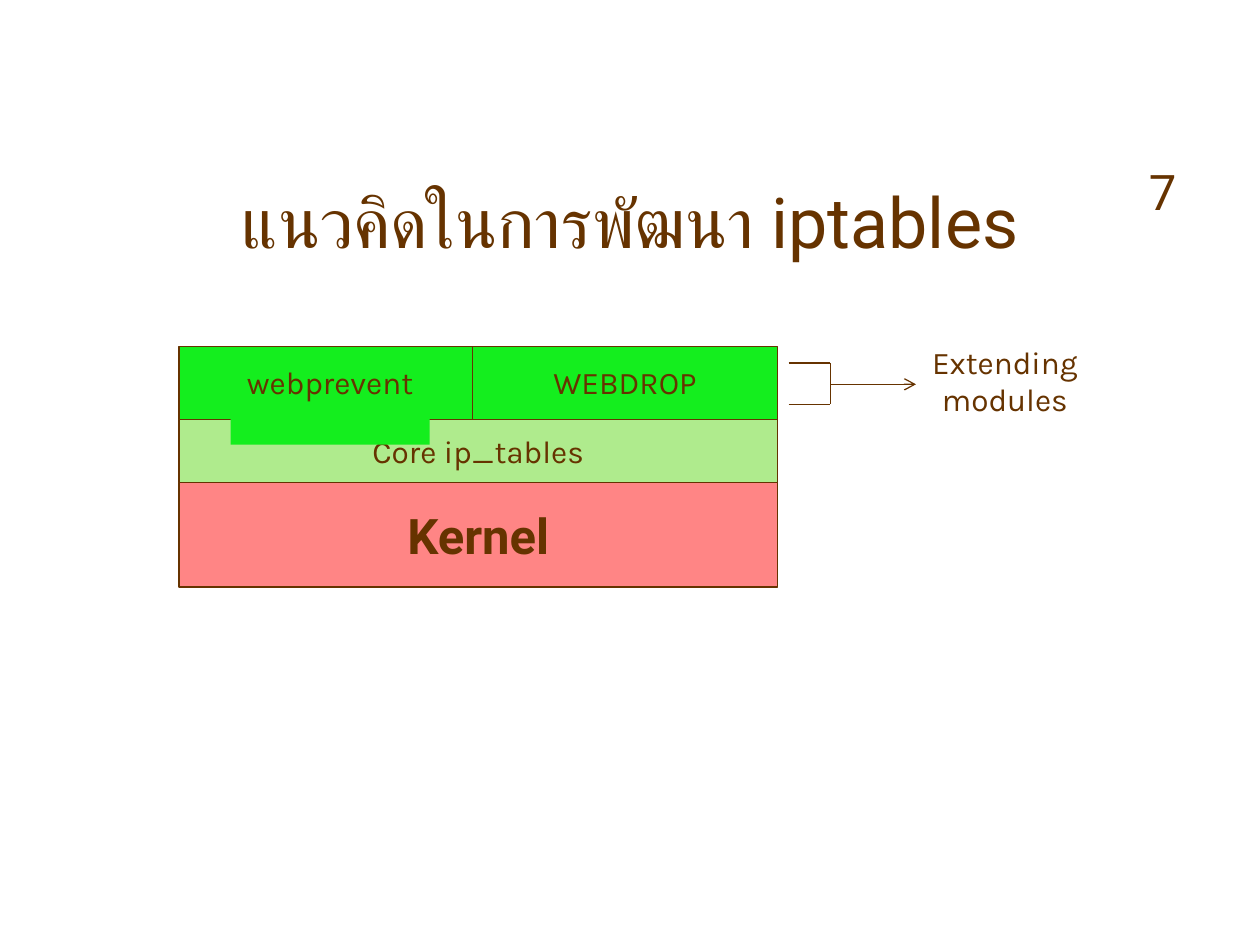
from lxml import etree
from pptx import Presentation
from pptx.dml.color import RGBColor
from pptx.enum.shapes import MSO_CONNECTOR, MSO_SHAPE
from pptx.enum.text import MSO_ANCHOR, MSO_AUTO_SIZE, PP_ALIGN
from pptx.oxml.ns import qn
from pptx.util import Inches, Pt

BROWN = RGBColor(0x66, 0x33, 0x00)
RED = RGBColor(0xFF, 0x85, 0x85)
PALE_GREEN = RGBColor(0xAF, 0xEB, 0x8D)
GREEN = RGBColor(0x14, 0xEE, 0x1E)

HEAD_FONT, BODY_FONT = "Roboto", "Karla"
CENTER, LEFT = PP_ALIGN.CENTER, PP_ALIGN.LEFT
TOP, MIDDLE = MSO_ANCHOR.TOP, MSO_ANCHOR.MIDDLE
NO_AUTOFIT = MSO_AUTO_SIZE.NONE
RECT = MSO_SHAPE.RECTANGLE
STRAIGHT = MSO_CONNECTOR.STRAIGHT

# Edges of the layer diagram
STACK_LEFT, STACK_SPLIT, STACK_RIGHT = 1.42, 3.75, 6.17
MODULES_TOP, CORE_TOP, KERNEL_TOP, KERNEL_BOTTOM = 2.75, 3.33, 3.83, 4.66

# Bracket beside the modules
BRACKET_LEFT, BRACKET_RIGHT = 6.26, 6.59
BRACKET_TOP, BRACKET_BOTTOM = 2.88, 3.21


def write(s, text, size, font=BODY_FONT, bold=False, align=CENTER,
          anchor=MIDDLE, wrap=True):
    tf = s.text_frame
    tf.auto_size = NO_AUTOFIT
    tf.word_wrap = wrap
    tf.vertical_anchor = anchor
    p = tf.paragraphs[0]
    p.alignment = align
    r = p.add_run()
    r.text = text
    r.font.size = Pt(size)
    r.font.name = font
    r.font.bold = bold
    r.font.color.rgb = BROWN


def add_block(shapes, left, top, right, bottom, fill, outlined=True):
    s = shapes.add_shape(RECT, Inches(left), Inches(top),
                         Inches(right - left), Inches(bottom - top))
    s.shadow.inherit = False
    s.fill.solid()
    s.fill.fore_color.rgb = fill
    if outlined:
        s.line.color.rgb = BROWN
        s.line.width = Pt(0.75)
    else:
        s.line.fill.background()
    return s


def add_label(shapes, left, top, width, height, text, size=18,
              font=BODY_FONT, align=CENTER):
    s = shapes.add_textbox(Inches(left), Inches(top),
                           Inches(width), Inches(height))
    write(s, text, size, font, align=align, anchor=TOP)


def add_line(shapes, x1, y1, x2, y2, arrow=False):
    s = shapes.add_connector(STRAIGHT, Inches(x1), Inches(y1),
                             Inches(x2), Inches(y2))
    s.line.color.rgb = BROWN
    s.line.width = Pt(0.75)
    if arrow:
        ln = s.line._get_or_add_ln()
        etree.SubElement(ln, qn("a:tailEnd"), type="arrow")
    etree.SubElement(s._element.spPr, qn("a:effectLst"))


def main():
    prs = Presentation()
    prs.slide_width, prs.slide_height = Inches(10), Inches(7.5)
    slide = prs.slides.add_slide(prs.slide_layouts[5])
    shapes = slide.shapes

    # Title
    title = shapes.title
    title.left, title.top = Inches(0.75), Inches(1.25)
    title.width, title.height = Inches(8.5), Inches(1)
    write(title, "แนวคิดในการพัฒนา iptables", 40, HEAD_FONT)

    # Kernel and core layers
    kernel = add_block(shapes, STACK_LEFT, KERNEL_TOP,
                       STACK_RIGHT, KERNEL_BOTTOM, RED)
    write(kernel, "Kernel", 28, HEAD_FONT, bold=True, wrap=False)
    core = add_block(shapes, STACK_LEFT, CORE_TOP,
                     STACK_RIGHT, KERNEL_TOP, PALE_GREEN)
    write(core, "Core ip_tables", 18, wrap=False)

    # Extension modules
    add_block(shapes, STACK_LEFT, MODULES_TOP, STACK_SPLIT, CORE_TOP, GREEN)
    webprevent = add_block(shapes, 1.83, 2.83, 3.41, 3.53, GREEN,
                           outlined=False)
    write(webprevent, "webprevent", 18, anchor=TOP)
    add_block(shapes, STACK_SPLIT, MODULES_TOP, STACK_RIGHT, CORE_TOP, GREEN)
    add_label(shapes, 4.17, 2.83, 1.58, 0.4, "WEBDROP")

    # Bracket with arrow to its label
    bracket = shapes.add_group_shape()
    for y in (BRACKET_TOP, BRACKET_BOTTOM):
        add_line(bracket.shapes, BRACKET_LEFT, y, BRACKET_RIGHT, y)
    add_line(bracket.shapes, BRACKET_RIGHT, BRACKET_TOP,
             BRACKET_RIGHT, BRACKET_BOTTOM)
    add_line(shapes, BRACKET_RIGHT, 3.05, 7.27, 3.05, arrow=True)
    add_label(shapes, 7.1, 2.67, 1.75, 0.7, "Extending modules")

    # Page number
    add_label(shapes, 9.02, 1.23, 0.47, 0.57, "7", 28, HEAD_FONT, LEFT)

    prs.save("out.pptx")


if __name__ == "__main__":
    main()
